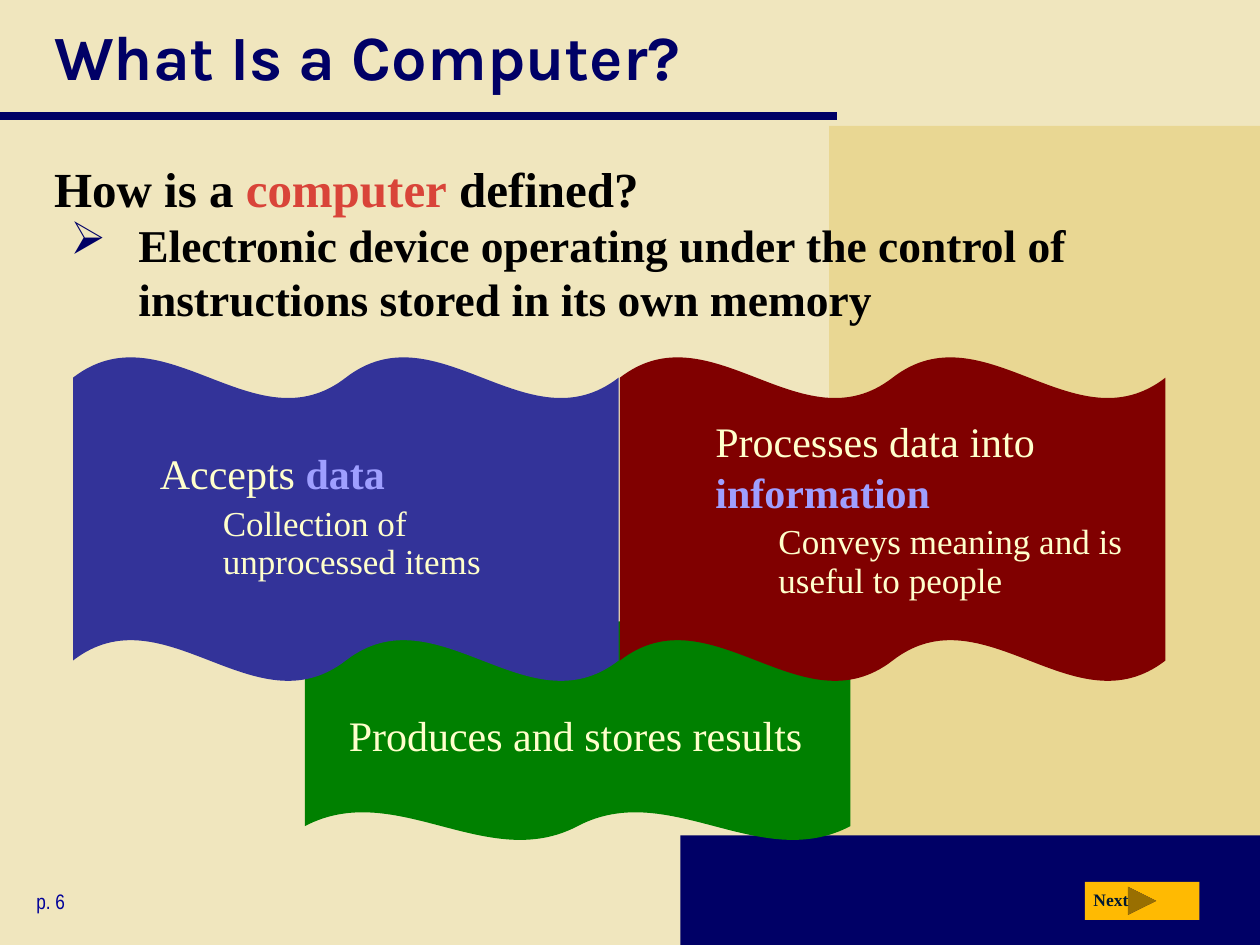
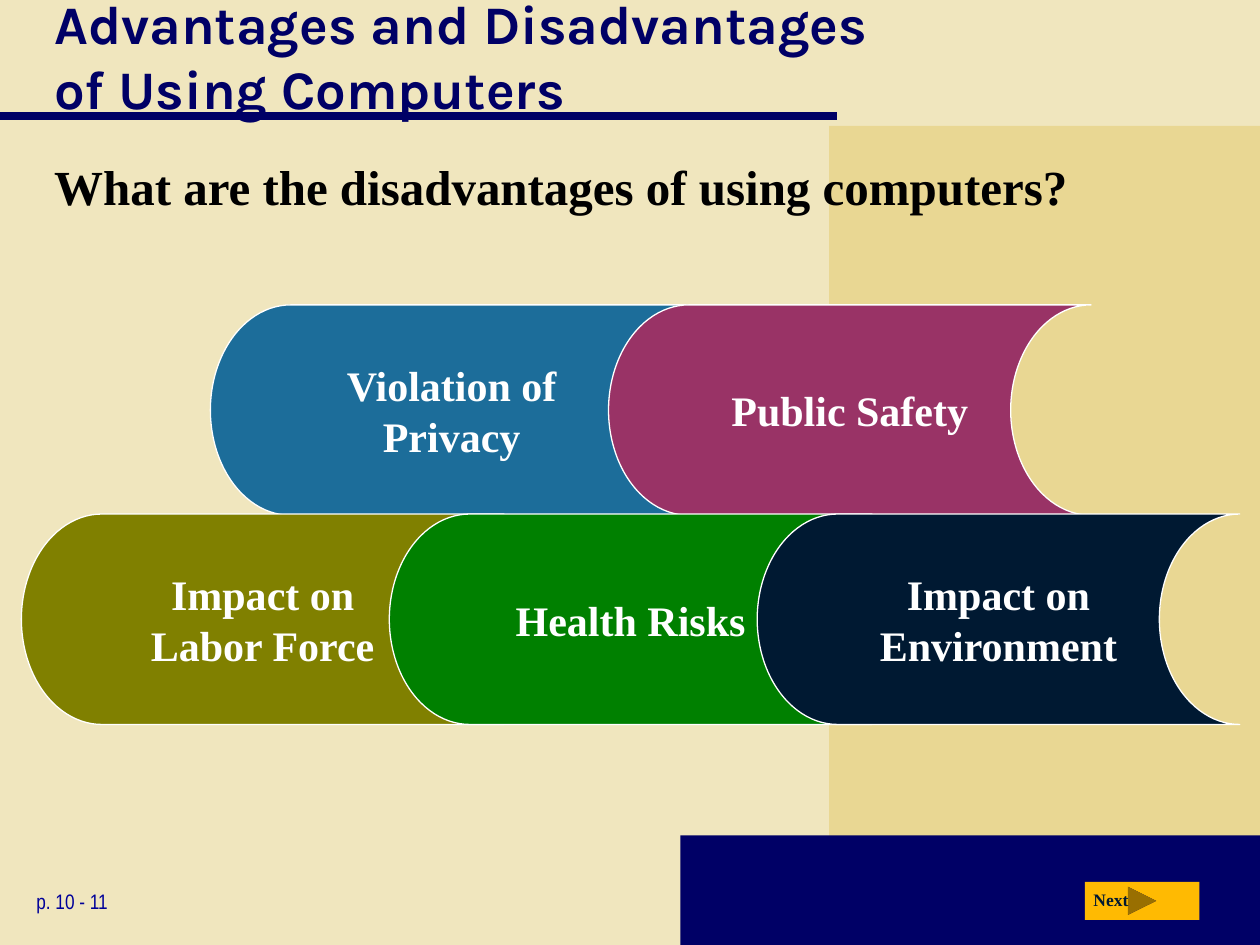
import pptx
import pptx.dml.color
import pptx.enum.shapes
import pptx.enum.text
import pptx.oxml
import pptx.oxml.ns
import pptx.util

Inches, Pt = pptx.util.Inches, pptx.util.Pt
SHAPES = pptx.enum.shapes.MSO_SHAPE
ANCHOR = pptx.enum.text.MSO_ANCHOR
ALIGN = pptx.enum.text.PP_ALIGN

COLORS = {
    "paper": "F0E6BE", "sand": "E9D793", "navy": "000066", "black": "000000",
    "red": "D94439", "page": "000099", "gold": "FFBA02", "ink": "001932",
    "cream": "FFFFCC", "lilac": "9F9FFF", "white": "FFFFFF",
    "blue": "333399", "maroon": "800000", "green": "008000",
    "teal": "1C6D9A", "plum": "993366", "olive": "808000",
}

SERIF = "Times New Roman"
STYLES = {
    "title": {"name": "Karla", "size": 36, "bold": True, "color": "navy"},
    "long title": {"name": "Karla", "size": 31, "bold": True, "color": "navy"},
    "question": {"name": SERIF, "size": 28, "bold": True, "color": "black"},
    "term": {"name": SERIF, "size": 28, "bold": True, "color": "red"},
    "answer": {"name": SERIF, "size": 26, "bold": True, "color": "black"},
    "step": {"name": SERIF, "size": 24, "bold": False, "color": "cream"},
    "step term": {"name": SERIF, "size": 24, "bold": True, "color": "lilac"},
    "detail": {"name": SERIF, "size": 20, "bold": False, "color": "cream"},
    "risk": {"name": SERIF, "size": 24, "bold": True, "color": "white"},
    "page": {"name": "Arial Narrow", "size": 12, "bold": False, "color": "page"},
    "button": {"name": SERIF, "size": 10, "bold": True, "color": "ink"},
}

# A paragraph is a list of (text, style) spans.
SLIDES = [
    {
        "title": [("What Is a Computer?", "title")],
        "question": [("How is a ", "question"), ("computer", "term"),
                     (" defined?", "question")],
        "question top": 1.21,
        "page": "p. 6",
    },
    {
        "title": [("Advantages and Disadvantages\nof Using Computers", "long title")],
        "question": [("What are the disadvantages of using computers?", "question")],
        "question top": 1.19,
        "page": "p. 10 - 11",
    },
]

DEFINITION = [("Electronic device operating under the control of "
               "instructions stored in its own memory", "answer")]

WAVES = [
    {"color": "green", "area": (2.42, 4.92, 4.33, 1.75),
     "text area": (1.67, 5.58, 4.8, 0.5), "wrap": False,
     "step": [("Produces and stores results", "step")]},
    {"color": "maroon", "area": (4.92, 2.83, 4.33, 2.58),
     "text area": (4.58, 3.25, 5, 1.59), "wrap": True,
     "step": [("Processes data into ", "step"), ("information", "step term")],
     "detail": [("Conveys meaning and is\nuseful to people", "detail")]},
    {"color": "blue", "area": (0.58, 2.83, 4.33, 2.58),
     "text area": (0.17, 3.5, 4.42, 1.19), "wrap": True,
     "step": [("Accepts ", "step"), ("data", "step term")],
     "detail": [("Collection of unprocessed items", "detail")]},
]

RISK_SIZE = (3.83, 1.67)
RISK_ROWS = [
    {"left": 1.67, "top": 2.42, "step": 3.16,
     "risks": [("Violation of\nPrivacy", "teal"), ("Public Safety", "plum")]},
    {"left": 0.17, "top": 4.08, "step": 2.92,
     "risks": [("Impact on\nLabor Force", "olive"), ("Health Risks", "green"),
               ("Impact on\nEnvironment", "ink")]},
]


def rgb(name):
    return pptx.dml.color.RGBColor.from_string(COLORS[name])


def inches(values):
    return [Inches(value) for value in values]


def format_font(font, style):
    values = dict(STYLES[style])
    font.color.rgb = rgb(values.pop("color"))
    values["size"] = Pt(values["size"])
    for name, value in values.items():
        setattr(font, name, value)


def write(para, spans, margin=0, indent=0, bullet=None, **spacing):
    """Fill a paragraph with styled spans; a newline becomes a line break."""
    properties = para._p.get_or_add_pPr()
    properties.set("marL", str(Inches(margin)))
    properties.set("indent", str(Inches(indent)))
    namespace = pptx.oxml.ns.nsdecls("a")
    if bullet:
        marks = [f'<a:buClr {namespace}><a:srgbClr val="{COLORS["navy"]}"/></a:buClr>',
                 f'<a:buChar {namespace} char="{bullet}"/>']
    else:
        marks = [f"<a:buNone {namespace}/>"]
    for mark in marks:
        properties.append(pptx.oxml.parse_xml(mark))
    for name, value in {"alignment": ALIGN.LEFT, "space_before": Pt(0), **spacing}.items():
        setattr(para, name, value)
    for text, style in spans:
        for number, line in enumerate(text.split("\n")):
            if number:
                para.add_line_break()
            span = para.add_run()
            span.text = line
            format_font(span.font, style)


def add_block(page, kind, area, fill, line=None):
    block = page.shapes.add_shape(kind, *inches(area))
    block.shadow.inherit = False
    block.fill.solid()
    block.fill.fore_color.rgb = rgb(fill)
    if line:
        block.line.color.rgb = rgb(line)
        block.line.width = Pt(0.75)
    else:
        block.line.fill.background()
    return block


def add_text(page, area, spans, wrap=True, **layout):
    box = page.shapes.add_textbox(*inches(area))
    box.text_frame.word_wrap = wrap
    write(box.text_frame.paragraphs[0], spans, **layout)
    return box


def fill_placeholder(box, area, spans, anchor):
    box.left, box.top, box.width, box.height = inches(area)
    frame = box.text_frame
    frame.auto_size = pptx.enum.text.MSO_AUTO_SIZE.NONE
    frame.word_wrap = True
    frame.vertical_anchor = anchor
    write(frame.paragraphs[0], spans)


def decorate_layout(layout, page):
    """Set the shared background and move the bands from the page to its layout."""
    layout.background.fill.solid()
    layout.background.fill.fore_color.rgb = rgb("paper")
    side = add_block(page, SHAPES.RECTANGLE, (6.58, 1, 3.42, 6.5), "sand")
    base = add_block(page, SHAPES.RECTANGLE, (5.4, 6.63, 4.6, 0.87), "navy")
    rule = page.shapes.add_connector(pptx.enum.shapes.MSO_CONNECTOR.STRAIGHT,
                                     *inches((0, 0.92, 6.64, 0.92)))
    rule.line.color.rgb = rgb("navy")
    rule.line.width = Pt(5)
    rule.element.spPr.append(pptx.oxml.parse_xml(
        f'<a:effectLst {pptx.oxml.ns.nsdecls("a")}/>'))
    for number, band in enumerate((side, base, rule)):
        band.element.xpath(".//p:cNvPr")[0].set("id", str(100 + number))
        layout.shapes.element.insert(2 + number, band.element)


def add_frame(page, content):
    """Add what every slide has: title, question, page reference, Next button."""
    title, body = page.placeholders
    fill_placeholder(title, (0.33, 0, 9.39, 0.88), content["title"], ANCHOR.MIDDLE)
    fill_placeholder(body, (0.33, content["question top"], 9.39, 0.65),
                     content["question"], ANCHOR.TOP)
    add_text(page, (0.19, 7, 1.69, 0.3), [(content["page"], "page")])
    add_block(page, SHAPES.ACTION_BUTTON_FORWARD_OR_NEXT, (8.61, 7, 0.91, 0.3), "gold")
    add_text(page, (8.58, 7.01, 0.51, 0.27), [("Next", "button")])


def add_waves(page):
    for wave in WAVES:
        block = add_block(page, SHAPES.DOUBLE_WAVE, wave["area"], wave["color"])
        block.adjustments[0] = 0.065
        box = add_text(page, wave["text area"], wave["step"], wave["wrap"], margin=1)
        if "detail" in wave:
            write(box.text_frame.add_paragraph(), wave["detail"], margin=1.5,
                  space_before=Pt(4), line_spacing=Pt(22))


def add_risks(page):
    for row in RISK_ROWS:
        for column, (risk, color) in enumerate(row["risks"]):
            area = (row["left"] + column * row["step"], row["top"], *RISK_SIZE)
            block = add_block(page, SHAPES.FLOWCHART_STORED_DATA, area, color, "white")
            frame = block.text_frame
            frame.word_wrap = False
            frame.vertical_anchor = ANCHOR.MIDDLE
            write(frame.paragraphs[0], [(risk, "risk")], alignment=ALIGN.CENTER)


def main():
    deck = pptx.Presentation()
    deck.slide_width, deck.slide_height = inches((10, 7.5))
    layout = deck.slide_layouts[1]
    computer, disadvantages = pages = [deck.slides.add_slide(layout) for _ in SLIDES]
    decorate_layout(layout, computer)
    for page, content in zip(pages, SLIDES):
        add_frame(page, content)
    add_text(computer, (0.33, 1.67, 9.39, 1), DEFINITION,
             margin=0.67, indent=-0.54, bullet="➢")
    add_waves(computer)
    add_risks(disadvantages)
    deck.save("out.pptx")


if __name__ == "__main__":
    main()
